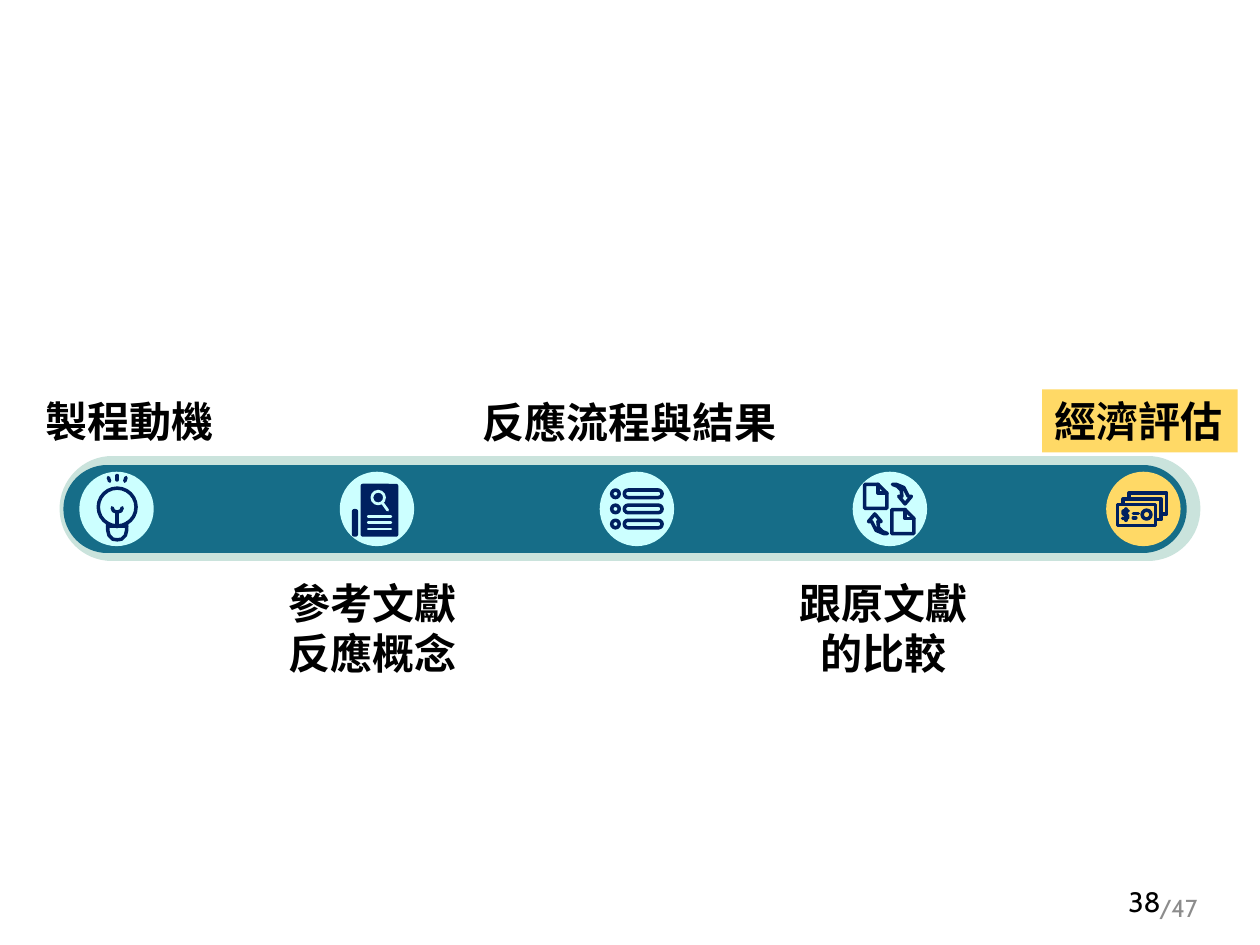
from lxml.etree import SubElement
from pptx import Presentation
from pptx.dml.color import RGBColor as RGB
from pptx.enum.shapes import MSO_CONNECTOR as Link, MSO_SHAPE as Preset
from pptx.enum.text import MSO_ANCHOR as Anchor, MSO_AUTO_SIZE as Fit, PP_ALIGN as Align
from pptx.oxml.ns import qn
from pptx.util import Cm, Pt

THEME = {
    "font": "Cabin",
    "ink": "000000", "muted": "8C8C8C", "icon": "002060",
    "disc": "CCFFFF", "current": "FFD966", "rim": "CAE3DC", "track": "166D88",
    "stage_size": 24, "page_size": 16, "total_size": 14,
    "rim_width": 60, "track_width": 50, "stroke": 2, "fine": 1.6,
}

TRACK_Y, DISC_SIZE = 10.26, 1.5
ICON_UNIT = 0.0254
TRACKS = [(2.26, 23.14, "rim"), (2.16, 23.04, "track")]

STAGES = [
    (["製程動機"], "bulb", 2.35, (0.38, 7.85, 4.45, 1.27)),
    (["參考文獻", "反應概念"], "paper", 7.6, (5.54, 11.51, 3.94, 2.31)),
    (["反應流程與結果"], "list", 12.84, (9.45, 7.87, 6.5, 1.27)),
    (["跟原文獻", "的比較"], "exchange", 17.94, (15.85, 11.51, 3.94, 2.31)),
    (["經濟評估"], "money", 23.05, (21.01, 7.85, 3.94, 1.27)),
]
CURRENT_STAGE = "money"

PAGE_MARKS = [
    ("/47", (19.46, 17.78, 8.59, 1.02), Align.CENTER, "total_size", "muted"),
    ("38", (17.93, 17.65, 5.72, 1.02), Align.RIGHT, "page_size", "ink"),
]

OVAL, ROUND, RECT = Preset.OVAL, Preset.ROUNDED_RECTANGLE, Preset.RECTANGLE
SHEET = [(-20, -19.5), (-9.5, -19.5), (-2.5, -12.5), (-2.5, -0.5), (-20, -0.5)]
FOLD = [(-9.5, -19.5), (-9.5, -12.5), (-2.5, -12.5)]
ARROW = [(2, -19.5), (5, -19.5), (11, -17), (14.5, -10), (17, -10),
         (12, -4), (7, -10), (9.5, -10), (9, -15), (6, -18)]
NOTE_EDGE = [(-16, -4), (-16, -8), (14, -8), (14, 8.5), (10, 8.5)]


def shifted(points, dx, dy):
    return [(x + dx, y + dy) for x, y in points]


ICONS = {
    "bulb": {
        "outlines": [(OVAL, (-14.5, -16.5, 30, 30), 0)],
        "strokes": [
            [(-7, 11), (-7, 17), (-6, 21), (-3, 24), (0.5, 24.5), (4, 24), (7, 21), (8, 17), (8, 11)],
            [(-7, 14), (8, 14)],
            [(-3.5, -1), (-2.5, 1.5), (0.5, 2.5), (3.5, 1.5), (4.5, -1)],
            [(0.5, 2.5), (0.5, 14)],
            [(0.5, -26.5), (0.5, -23)], [(-6.5, -25), (-5.5, -22)], [(7.5, -25), (6.5, -22)],
        ],
    },
    "paper": {
        "solids": [(ROUND, (-13, -20, 30, 42), 0.06), (ROUND, (-20, 0, 5, 22), 0.4)],
        "cutouts": [(OVAL, (-4, -14, 10, 10), 0)],
        "cutlines": [[(4.5, -4.5), (8.5, 1)]] + [[(-7, y), (11, y)] for y in (6, 11, 16)],
    },
    "list": {
        "outlines": [part for y in (-15, -3, 9) for part in (
            (OVAL, (-20, y, 6, 6), 0), (ROUND, (-10, y, 30, 6), 0.5))],
    },
    "exchange": {
        "loops": [SHEET, shifted(SHEET, 21.5, 20), ARROW, [(-x, -y) for x, y in ARROW]],
        "strokes": [FOLD, shifted(FOLD, 21.5, 20)],
    },
    "money": {
        "outlines": [(RECT, (-20.5, -3.5, 30, 16.5), 0), (OVAL, (-1, 1, 7, 7), 0)],
        "strokes": [
            NOTE_EDGE, shifted(NOTE_EDGE, 4.5, -4.5),
            [(-12, 1.5), (-16, 1.5), (-16, 4), (-12.5, 5), (-12.5, 7.5), (-16.5, 7.5)],
            [(-14, 0), (-14, 9)], [(-8, 3.5), (-4, 3.5)], [(-8, 7), (-6, 7)],
        ],
    },
}


def colour(name):
    return RGB.from_string(THEME[name])


def cm_box(box):
    return [Cm(value) for value in box]


def paint(shape, fill=None, line=None, width="stroke"):
    shape.shadow.inherit = False
    if fill:
        shape.fill.solid()
        shape.fill.fore_color.rgb = colour(fill)
    else:
        shape.fill.background()
    if line:
        ink_line(shape, line, width)
    else:
        shape.line.fill.background()


def ink_line(shape, name, width):
    shape.line.color.rgb = colour(name)
    shape.line.width = Pt(THEME[width])
    stroke = shape.line._get_or_add_ln()
    stroke.set("cap", "rnd")
    SubElement(stroke, qn("a:round"))


def add_line(shapes, start, end, name, width):
    line = shapes.add_connector(Link.STRAIGHT, *start, *end)
    ink_line(line, name, width)
    SubElement(line._element.spPr, qn("a:effectLst"))


def write(shape, lines, align, size, name, **frame_format):
    frame = shape.text_frame
    for key, value in frame_format.items():
        setattr(frame, key, value)
    for index, words in enumerate(lines):
        paragraph = frame.paragraphs[0] if index == 0 else frame.add_paragraph()
        paragraph.alignment = align
        run = paragraph.add_run()
        run.text = words
        run.font.color.rgb = colour(name)
        font_format = {"name": THEME["font"], "size": Pt(THEME[size]), "bold": size == "stage_size"}
        for key, value in font_format.items():
            setattr(run.font, key, value)


def draw_icon(shapes, icon, centre_x, disc):
    group = shapes.add_group_shape().shapes

    def place(x, y):
        return Cm(centre_x + x * ICON_UNIT), Cm(TRACK_Y + y * ICON_UNIT)

    def add_preset(part, **look):
        kind, (x, y, width, height), corner = part
        shape = group.add_shape(kind, *place(x, y), Cm(width * ICON_UNIT), Cm(height * ICON_UNIT))
        if corner:
            shape.adjustments[0] = corner
        paint(shape, **look)

    def add_path(points, name, width, close=False):
        spots = [place(*point) for point in points]
        if len(spots) == 2:
            add_line(group, *spots, name, width)
            return
        builder = group.build_freeform(*spots[0])
        builder.add_line_segments(spots[1:], close=close)
        paint(builder.convert_to_shape(), line=name, width=width)

    for part in icon.get("solids", []):
        add_preset(part, fill="icon")
    for part in icon.get("outlines", []):
        add_preset(part, line="icon")
    for part in icon.get("cutouts", []):
        add_preset(part, line=disc, width="fine")
    for points in icon.get("loops", []):
        add_path(points, "icon", "stroke", close=True)
    for points in icon.get("strokes", []):
        add_path(points, "icon", "stroke")
    for points in icon.get("cutlines", []):
        add_path(points, disc, "fine")


def main():
    deck = Presentation()
    deck.slide_width, deck.slide_height = Cm(25.4), Cm(19.05)
    shapes = deck.slides.add_slide(deck.slide_layouts[6]).shapes

    for words, box, align, size, name in PAGE_MARKS:
        write(shapes.add_textbox(*cm_box(box)), [words], align, size, name,
              word_wrap=True, vertical_anchor=Anchor.MIDDLE)

    for left, right, name in TRACKS:
        add_line(shapes, cm_box((left, TRACK_Y)), cm_box((right, TRACK_Y)), name, name + "_width")

    for lines, icon, centre_x, box in STAGES:
        is_current = icon == CURRENT_STAGE
        disc = "current" if is_current else "disc"
        corner = (centre_x - DISC_SIZE / 2, TRACK_Y - DISC_SIZE / 2)
        paint(shapes.add_shape(OVAL, *cm_box(corner + (DISC_SIZE, DISC_SIZE))), fill=disc)
        draw_icon(shapes, ICONS[icon], centre_x, disc)
        if is_current:
            label = shapes.add_shape(RECT, *cm_box(box))
            paint(label, fill=disc)
        else:
            label = shapes.add_textbox(*cm_box(box))
        write(label, lines, Align.LEFT if is_current else Align.CENTER, "stage_size", "ink",
              word_wrap=icon == "bulb", auto_size=Fit.SHAPE_TO_FIT_TEXT, vertical_anchor=Anchor.TOP)

    deck.save("out.pptx")


if __name__ == "__main__":
    main()
